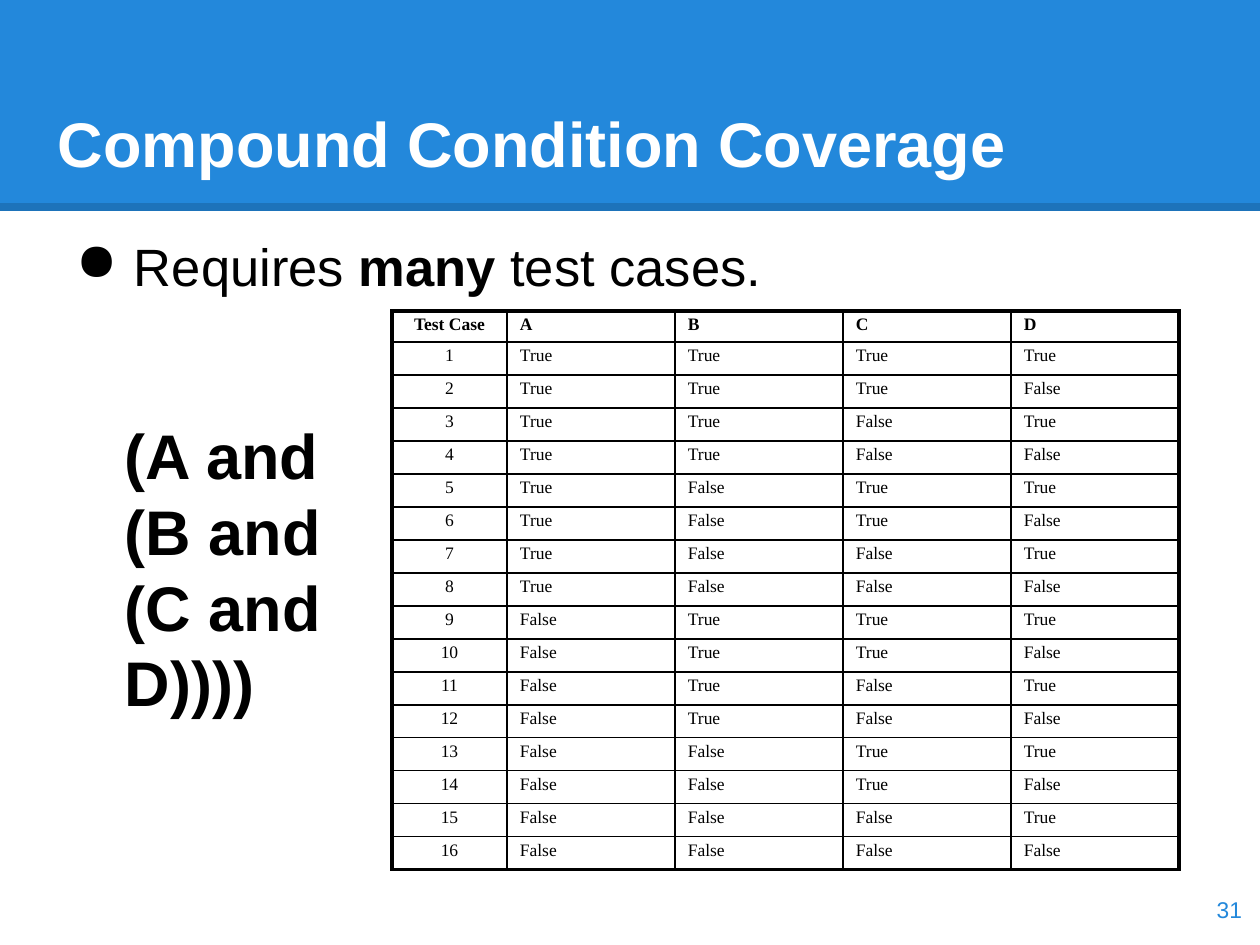
from itertools import product

from lxml import etree
from pptx import Presentation
from pptx import util as u
from pptx.dml.color import RGBColor
from pptx.enum import shapes, text
from pptx.oxml.ns import qn

COLORS = {"blue": "2388DB", "white": "FFFFFF", "black": "000000"}
MIDDLE, TOP = text.MSO_ANCHOR.MIDDLE, text.MSO_ANCHOR.TOP
LEFT, CENTER, RIGHT = text.PP_ALIGN.LEFT, text.PP_ALIGN.CENTER, text.PP_ALIGN.RIGHT

# Each paragraph is a list of (text, bold) runs; insets are left, top, right, bottom.
TITLE = {"box": (45, 63, 1134, 158), "insets": (13, 6, 6, 6), "anchor": MIDDLE,
         "size": 36, "color": "white",
         "paragraphs": [[("Compound Condition Coverage", True)]]}
BODY = {"box": (63, 221, 1134, 684), "insets": (8, 13, 13, 6), "size": 30,
        "bullet": "●",
        "paragraphs": [[("Requires ", False), ("many", True), (" test cases.", False)]]}
EXPRESSION = {"box": (112, 404, 290, 106), "size": 36,
              "paragraphs": [[("(A and", True)], [("(B and", True)],
                             [("(C and D))))", True)]]}
PAGE = {"box": (1179, 873, 76, 72), "anchor": MIDDLE, "align": RIGHT,
        "size": 13, "color": "blue", "paragraphs": [[("31", False)]]}

CONDITIONS = ["A", "B", "C", "D"]
ROWS = [["Test Case", *CONDITIONS]] + [
    [str(n), *values]
    for n, values in enumerate(product(("True", "False"), repeat=len(CONDITIONS)), 1)]
TABLE_AT = (392, 311)
COL_WIDTHS = [115] + [168] * len(CONDITIONS)
ROW_HEIGHTS = [30] + [33] * (len(ROWS) - 1)
OUTER, INNER = 2.25, 1


def px(n):
    return u.Emu(round(n * 914400 / 126))


def rgb(name):
    return RGBColor.from_string(COLORS[name])


def style(font, size, color="black", bold=False, name="Arial"):
    values = {"size": u.Pt(size), "bold": bold, "name": name}
    for key, value in values.items():
        setattr(font, key, value)
    font.color.rgb = rgb(color)


def set_margins(target, insets):
    for side, inset in zip(("left", "top", "right", "bottom"), insets):
        setattr(target, f"margin_{side}", px(inset))


def add_bullet(p, char):
    pPr = p._p.get_or_add_pPr()
    pPr.set("marL", str(px(63)))
    pPr.set("indent", str(px(-58)))
    etree.SubElement(pPr, qn("a:buChar")).set("char", char)


def add_text(slide, spec_):
    sp = slide.shapes.add_textbox(*map(px, spec_["box"]))
    tf = sp.text_frame
    tf.word_wrap = True
    tf.vertical_anchor = spec_.get("anchor", TOP)
    set_margins(tf, spec_.get("insets", (13, 13, 13, 13)))
    for i, runs in enumerate(spec_["paragraphs"]):
        p = tf.add_paragraph() if i else tf.paragraphs[0]
        p.alignment = spec_.get("align", LEFT)
        if "bullet" in spec_:
            add_bullet(p, spec_["bullet"])
        for words, bold in runs:
            r = p.add_run()
            r.text = words
            style(r.font, spec_["size"], spec_.get("color", "black"), bold)


def add_banner(slide):
    sp = slide.shapes.add_shape(shapes.MSO_SHAPE.RECTANGLE, 0, 0, px(1260), px(211))
    sp.shadow.inherit = False
    sp.fill.solid()
    sp.fill.fore_color.rgb = rgb("blue")
    sp.line.fill.background()

    edge = slide.shapes.add_connector(
        shapes.MSO_CONNECTOR.STRAIGHT, 0, px(207), px(1260), px(207))
    edge.line.width = u.Pt(4.5)
    edge.line.color.rgb = rgb("black")
    spPr = edge._element.spPr
    color = spPr.find(".//" + qn("a:srgbClr"))
    etree.SubElement(color, qn("a:alpha")).set("val", "15000")
    etree.SubElement(spPr, qn("a:effectLst"))


def set_borders(cell, widths):
    """Draw the left, right, top and bottom borders, with widths in points."""
    tcPr = cell._tc.get_or_add_tcPr()
    for i, (tag, width) in enumerate(zip(("lnL", "lnR", "lnT", "lnB"), widths)):
        ln = etree.Element(qn(f"a:{tag}"), w=str(u.Pt(width)))
        fill = etree.SubElement(ln, qn("a:solidFill"))
        etree.SubElement(fill, qn("a:srgbClr")).set("val", COLORS["black"])
        tcPr.insert(i, ln)


def add_truth_table(slide):
    frame = slide.shapes.add_table(
        len(ROWS), len(COL_WIDTHS), *map(px, TABLE_AT),
        px(sum(COL_WIDTHS)), px(sum(ROW_HEIGHTS)))
    table = frame.table
    table.first_row = table.horz_banding = False
    for column, width in zip(table.columns, COL_WIDTHS):
        column.width = px(width)
    for row, height in zip(table.rows, ROW_HEIGHTS):
        row.height = px(height)
    last_row, last_col = len(ROWS) - 1, len(COL_WIDTHS) - 1
    for i, row in enumerate(ROWS):
        for j, words in enumerate(row):
            cell = table.cell(i, j)
            cell.fill.background()
            set_margins(cell, (13, 6, 13, 6))
            p = cell.text_frame.paragraphs[0]
            p.alignment = LEFT if j else CENTER
            p.line_spacing = 0.9
            r = p.add_run()
            r.text = words
            style(r.font, 10, bold=i == 0, name="Times New Roman")
            on_edge = (j == 0, j == last_col, i == 0, i == last_row)
            set_borders(cell, [OUTER if edge else INNER for edge in on_edge])


def main():
    prs = Presentation()
    prs.slide_width, prs.slide_height = px(1260), px(945)
    slide = prs.slides.add_slide(prs.slide_layouts[6])
    add_banner(slide)
    for block in (TITLE, BODY, EXPRESSION):
        add_text(slide, block)
    add_truth_table(slide)
    add_text(slide, PAGE)
    prs.save("out.pptx")


if __name__ == "__main__":
    main()
